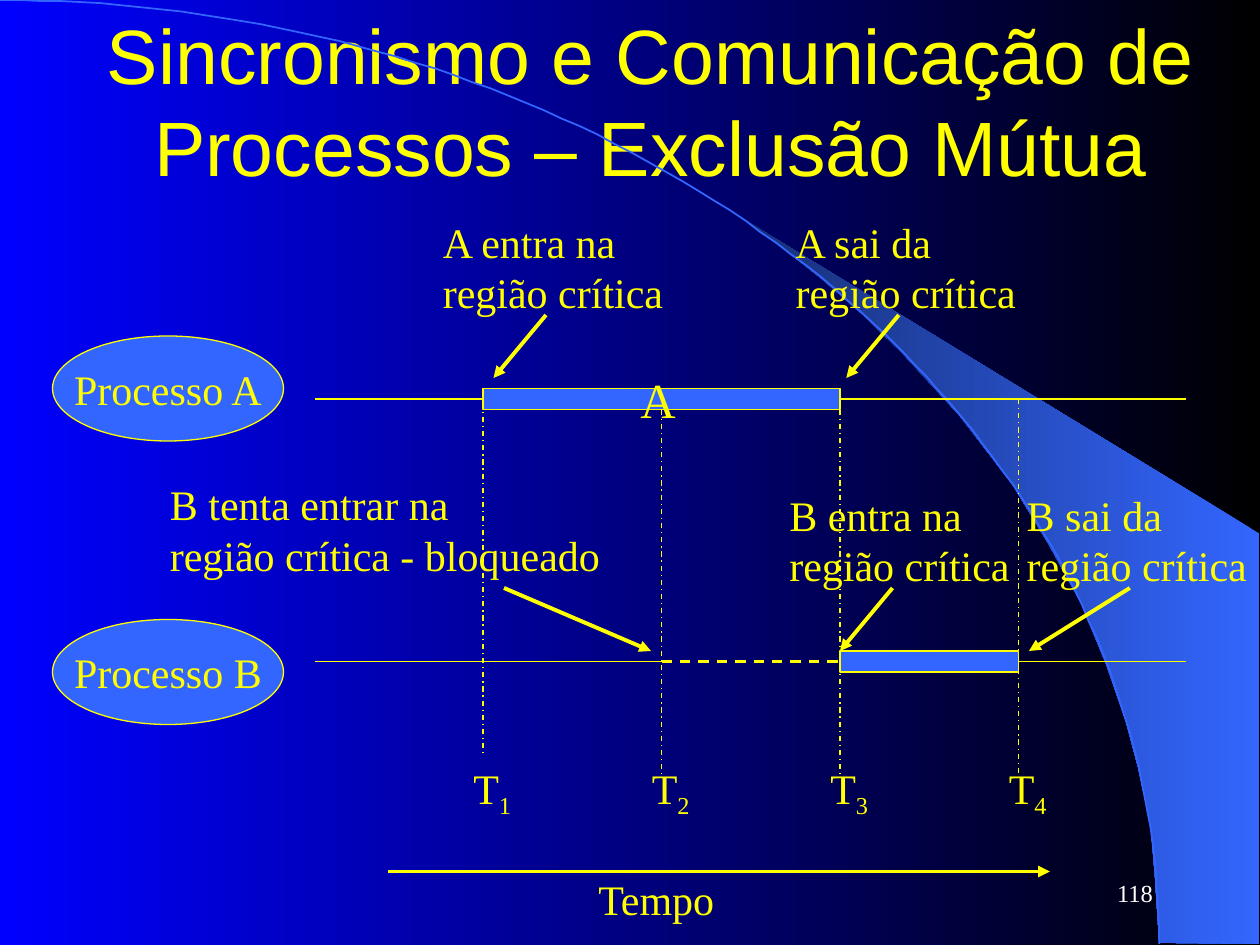
import math

from pptx import Presentation
from pptx.dml.color import RGBColor
from pptx.enum.dml import MSO_LINE
from pptx.enum.shapes import MSO_CONNECTOR, MSO_SHAPE
from pptx.enum.text import MSO_ANCHOR, MSO_AUTO_SIZE, PP_ALIGN
from pptx.oxml.ns import qn
from pptx.util import Pt
from lxml import etree

PX = 7620  # 120 px to the inch
LEFT, CENTER, RIGHT = PP_ALIGN.LEFT, PP_ALIGN.CENTER, PP_ALIGN.RIGHT
TOP, MIDDLE = MSO_ANCHOR.TOP, MSO_ANCHOR.MIDDLE
DASH, DASH_DOT = MSO_LINE.DASH, MSO_LINE.DASH_DOT
YELLOW, BLUE, WHITE = "FFFF00", "3366FF", "FFFFFF"
SERIF = "Times New Roman"


def rgb(value):
    return RGBColor.from_string(value)


def emu(*lengths):
    return [round(length * PX) for length in lengths]


def set_gradient(fill, first, last):
    """Run from the first colour at the right to the last at the left."""
    fill.gradient()
    fill.gradient_angle = 180
    for stop, color, position in zip(fill.gradient_stops, (first, last), (0, 1)):
        stop.color.rgb = rgb(color)
        stop.position = position


def set_text(shape, lines, size=24, color=YELLOW, font=SERIF, align=LEFT,
             anchor=TOP, wrap=False):
    frame = shape.text_frame
    frame.auto_size = MSO_AUTO_SIZE.NONE
    frame.word_wrap = wrap
    frame.vertical_anchor = anchor
    frame.text = "\n".join(lines)
    for paragraph in frame.paragraphs:
        paragraph.alignment = align
        paragraph.font.size = Pt(size)
        paragraph.font.name = font
        paragraph.font.color.rgb = rgb(color)


def add_text(slide, box, *lines, **style):
    shape = slide.shapes.add_textbox(*emu(*box))
    set_text(shape, lines, **style)
    return shape


def add_filled(slide, kind, box):
    shape = slide.shapes.add_shape(kind, *emu(*box))
    shape.shadow.inherit = False
    shape.fill.solid()
    shape.fill.fore_color.rgb = rgb(BLUE)
    shape.line.color.rgb = rgb(YELLOW)
    shape.line.width = Pt(0.75)
    return shape


def add_line(slide, start, end, width=0.75, dash=None, arrow=False):
    line = slide.shapes.add_connector(MSO_CONNECTOR.STRAIGHT, *emu(*start, *end))
    line.line.color.rgb = rgb(YELLOW)
    line.line.width = Pt(width)
    if dash:
        line.line.dash_style = dash
    if arrow:
        etree.SubElement(line.line._get_or_add_ln(), qn("a:tailEnd"), type="triangle")
    etree.SubElement(line._element.spPr, qn("a:effectLst"))


def add_outline(slide, points, closed):
    builder = slide.shapes.build_freeform(*points[0], scale=PX)
    builder.add_line_segments(points[1:], close=closed)
    shape = builder.convert_to_shape()
    shape.shadow.inherit = False
    return shape


def add_backdrop(slide, width, height):
    set_gradient(slide.background.fill, "000000", "0000FF")
    wedge = add_outline(slide, [
        (1104, 898), (width, height), (width, 508), (707, 208), (749, 239),
        (783, 266), (822, 300), (859, 336), (914, 396), (964, 461), (998, 517),
        (1030, 575), (1054, 634), (1072, 686), (1084, 731), (1096, 787),
        (1100, 835)], closed=True)
    set_gradient(wedge.fill, BLUE, "172F75")
    wedge.line.fill.background()

    steps = 90
    angles = [math.pi / 2 * step / steps for step in range(steps + 1)]
    arc = add_outline(slide, [
        (round(1104 * math.sin(angle), 2), round(height * (1 - math.cos(angle)), 2))
        for angle in angles], closed=False)
    arc.fill.background()
    arc.line.color.rgb = rgb(BLUE)
    arc.line.width = Pt(1)


def add_title(slide, box, text):
    title = slide.shapes.title
    title.left, title.top, title.width, title.height = emu(*box)
    set_text(title, [text], size=44, font="Arial", align=CENTER,
             anchor=MIDDLE, wrap=True)


def add_process(slide, box, name):
    ellipse = add_filled(slide, MSO_SHAPE.OVAL, box)
    set_text(ellipse, [name], align=CENTER, anchor=MIDDLE)


def add_track(slide, box, start, end, waiting_from=None):
    """Process line with a bar from start to end, and dashes while it waits."""
    left, top, width, height = box
    middle, right = top + height / 2, left + width
    if waiting_from is None:
        add_line(slide, (left, middle), (right, middle))
    else:
        add_line(slide, (left, middle), (waiting_from, middle))
        add_line(slide, (waiting_from, middle), (start, middle), 1.5, DASH)
        add_line(slide, (start, middle), (right, middle))
    add_filled(slide, MSO_SHAPE.RECTANGLE, (start, top, end - start, height))


def add_moment(slide, x, top, bottom, label_top, number):
    add_line(slide, (x, top), (x, bottom), dash=DASH_DOT)
    label = add_text(slide, (x - 21, label_top, 60, 67), "T")
    subscript = label.text_frame.paragraphs[0].add_run()
    subscript.text = str(number)
    subscript._r.get_or_add_rPr().set("baseline", "-25000")


def add_callout(slide, box, lines, arrow_x, offset):
    """Text with an arrow leaving at arrow_x, moved by offset to its tip."""
    left, top, width, height = box
    add_text(slide, box, *lines)
    x, y = left + arrow_x, top + height - 8
    add_line(slide, (x, y), (x + offset[0], y + offset[1]), 2.25, arrow=True)


def add_time_axis(slide, box):
    left, top, width, height = box
    add_line(slide, (left, top), (left + width, top), 2.25, arrow=True)
    add_text(slide, (left + 188, top - 4, 137, height), "Tempo")


def main():
    presentation = Presentation()
    presentation.slide_width, presentation.slide_height = emu(1200, 900)
    slide = presentation.slides.add_slide(presentation.slide_layouts[5])

    add_backdrop(slide, 1199, 899)
    add_title(slide, (80, 20, 1080, 150),
              "Sincronismo e Comunicação de Processos – Exclusão Mútua")
    add_process(slide, (50, 320, 220, 100), "Processo A")
    add_process(slide, (50, 590, 220, 100), "Processo B")
    add_time_axis(slide, (370, 830, 630, 60))

    moments = [460 + 170 * index for index in range(4)]
    spans = [(370, 720), (390, 740), (390, 740), (380, 740)]
    add_track(slide, (300, 370, 830, 20), moments[0], moments[2])
    for number, (x, span) in enumerate(zip(moments, spans), 1):
        add_moment(slide, x, *span, 720, number)
    add_track(slide, (300, 620, 830, 20), moments[2], moments[3], moments[1])

    region = "região crítica"
    callouts = [
        ((410, 200, 234, 108), ["A entra na", region], 110, (-50, 60)),
        ((746, 200, 234, 108), ["A sai da", region], 110, (-50, 60)),
        ((740, 460, 234, 108), ["B entra na", region], 110, (-50, 60)),
        ((966, 460, 234, 108), ["B sai da", region], 110, (-96, 60)),
        ((150, 450, 433, 118), ["B tenta entrar na", region + " - bloqueado"],
         330, (140, 60)),
    ]
    for callout in callouts:
        add_callout(slide, *callout)

    add_text(slide, (598, 346, 53, 68), "A", size=28, wrap=True)
    add_text(slide, (860, 820, 250, 60), "118", size=14, color=WHITE,
             align=RIGHT, anchor=MIDDLE, wrap=True)
    presentation.save("out.pptx")


if __name__ == "__main__":
    main()
